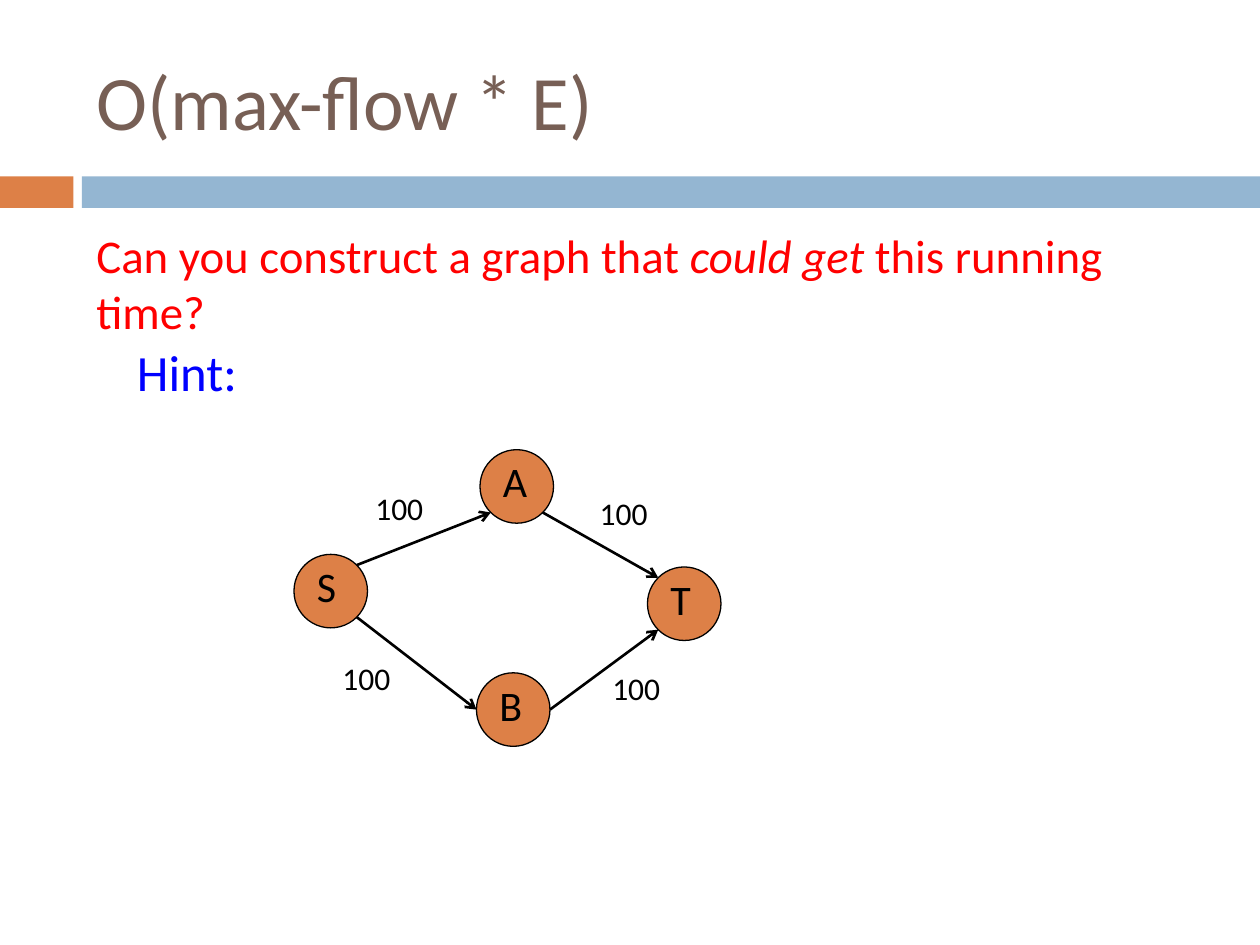
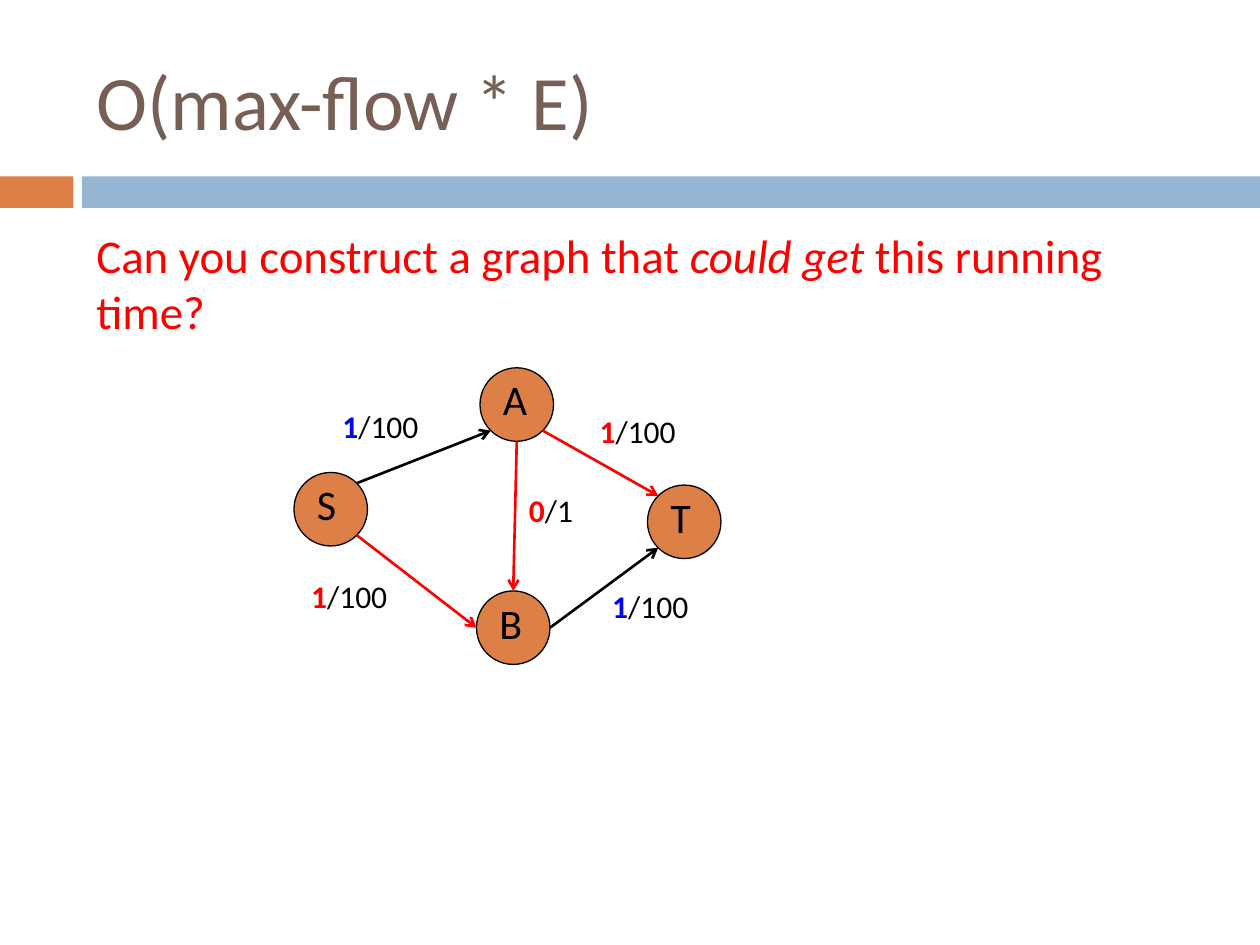
from dataclasses import dataclass
from math import cos, radians, sin

from lxml import etree
from pptx import Presentation
from pptx.dml.color import RGBColor
from pptx.enum import shapes, text
from pptx.oxml.ns import qn
from pptx.util import Pt

ORANGE = RGBColor(0xDD, 0x80, 0x47)
SKY = RGBColor(0x94, 0xB6, 0xD2)
BROWN = RGBColor(0x77, 0x5F, 0x55)
RED = RGBColor(0xFF, 0x00, 0x00)
BLUE = RGBColor(0x00, 0x00, 0xFF)
BLACK = RGBColor(0x00, 0x00, 0x00)
FONT = "Calibri"
SIZE = 42
LIFT = 46.8


@dataclass(frozen=True)
class Band:
    left: float
    width: float
    color: RGBColor


@dataclass(frozen=True)
class Node:
    left: float
    top: float

    def point(self, angle: float, lift: float) -> tuple:
        half = SIZE / 2
        turn = radians(angle)
        return (Pt(self.left + half + half * cos(turn)),
                Pt(self.top - lift + half + half * sin(turn)))


@dataclass(frozen=True)
class Edge:
    start: str
    leave: float
    end: str
    enter: float
    color: RGBColor = BLACK


@dataclass(frozen=True)
class Label:
    left: float
    top: float
    cap: str
    flow: str = ""
    color: RGBColor = BLACK


@dataclass(frozen=True)
class Run:
    text: str
    color: RGBColor
    bold: bool = False
    slant: bool = False


BANDS = [Band(0, 42, ORANGE), Band(46.8, 673.2, SKY)]
NODES = {
    "S": Node(168, 316.8),
    "A": Node(274.3, 257),
    "B": Node(272.3, 384.5),
    "T": Node(370, 324),
}
QUERY = [
    Run("Can you construct a graph that ", RED),
    Run("could get", RED, slant=True),
    Run(" this running time?", RED),
]


def style(font, size: float, color: RGBColor) -> None:
    font.name = FONT
    font.size = Pt(size)
    font.color.rgb = color


def write(parent, box: tuple, runs: list, size: float, gap: float = 0) -> None:
    frame = parent.add_textbox(*map(Pt, box)).text_frame
    frame.word_wrap = True
    para = frame.paragraphs[0]
    para.space_before = Pt(gap)
    for item in runs:
        run = para.add_run()
        run.text = item.text
        style(run.font, size, item.color)
        run.font.bold = item.bold
        run.font.italic = item.slant


def draw_band(slide, band: Band) -> None:
    bar = slide.shapes.add_shape(shapes.MSO_SHAPE.RECTANGLE, Pt(band.left),
                                 Pt(100.8), Pt(band.width), Pt(18))
    bar.shadow.inherit = False
    bar.fill.solid()
    bar.fill.fore_color.rgb = band.color
    bar.line.fill.background()


def draw_node(slide, name: str, node: Node, lift: float) -> None:
    group = slide.shapes.add_group_shape().shapes
    top = node.top - lift
    disc = group.add_shape(shapes.MSO_SHAPE.OVAL, Pt(node.left), Pt(top),
                           Pt(SIZE), Pt(SIZE))
    disc.shadow.inherit = False
    disc.fill.solid()
    disc.fill.fore_color.rgb = ORANGE
    disc.line.color.rgb = BLACK
    disc.line.width = Pt(0.75)
    write(group, (node.left + 6, top, 36, 36), [Run(name, BLACK)], 24)


def draw_edge(slide, edge: Edge, lift: float) -> None:
    start = NODES[edge.start].point(edge.leave, lift)
    end = NODES[edge.end].point(edge.enter, lift)
    link = slide.shapes.add_connector(shapes.MSO_CONNECTOR.STRAIGHT,
                                      *start, *end)
    link.line.color.rgb = edge.color
    link.line.width = Pt(1.5)
    tip = etree.SubElement(link.line._get_or_add_ln(), qn("a:tailEnd"))
    tip.set("type", "arrow")
    etree.SubElement(link._element.spPr, qn("a:effectLst"))


def draw_label(slide, label: Label, lift: float) -> None:
    runs = [Run(label.cap, BLACK)]
    if label.flow:
        runs.insert(0, Run(label.flow, label.color, bold=True))
    width = 78 if label.flow else 54
    write(slide.shapes, (label.left, label.top - lift, width, 29), runs, 18)


def add_slide(deck, edges: list, labels: list, lift: float = 0):
    slide = deck.slides.add_slide(deck.slide_layouts[5])
    for band in BANDS:
        draw_band(slide, band)
    title = slide.shapes.title
    title.left, title.top, title.width, title.height = map(
        Pt, (48, 18, 642, 78))
    frame = title.text_frame
    frame.text = "O(max-flow * E)"
    frame.auto_size = text.MSO_AUTO_SIZE.NONE
    frame.vertical_anchor = text.MSO_ANCHOR.MIDDLE
    frame.paragraphs[0].alignment = text.PP_ALIGN.LEFT
    style(frame.paragraphs[0].runs[0].font, 44, BROWN)
    write(slide.shapes, (48, 126, 642, 50.4), QUERY, 26.8, 7)
    for name, node in NODES.items():
        draw_node(slide, name, node, lift)
    for edge in edges:
        draw_edge(slide, edge, lift)
    for label in labels:
        draw_label(slide, label, lift)
    return slide


def main() -> None:
    deck = Presentation()
    deck.slide_width, deck.slide_height = Pt(720), Pt(540)

    plain = [
        Edge("S", -45, "A", 135),
        Edge("S", 45, "B", 180),
        Edge("B", 0, "T", 135),
        Edge("A", 45, "T", -135),
    ]
    caps = [
        Label(207.4, 275.6, "100"),
        Label(342.8, 378.8, "100"),
        Label(188.6, 373, "100"),
        Label(335.6, 278.6, "100"),
    ]
    hint = add_slide(deck, plain, caps)
    write(hint.shapes, (71.2, 191.4, 84.2, 50.4), [Run("Hint:", BLUE)], 29, 7)

    flows = [
        Edge("S", -45, "A", 135),
        Edge("S", 45, "B", 180, RED),
        Edge("B", 0, "T", 135),
        Edge("A", 90, "B", -90, RED),
        Edge("A", 45, "T", -135, RED),
    ]
    marks = [
        Label(188.6, 275.6, "/100", "1", BLUE),
        Label(342.8, 378.8, "/100", "1", BLUE),
        Label(170.8, 373, "/100", "1", RED),
        Label(335.6, 278.6, "/100", "1", RED),
        Label(295.2, 324, "/1", "0", RED),
    ]
    add_slide(deck, flows, marks, LIFT)
    deck.save("out.pptx")


if __name__ == "__main__":
    main()
